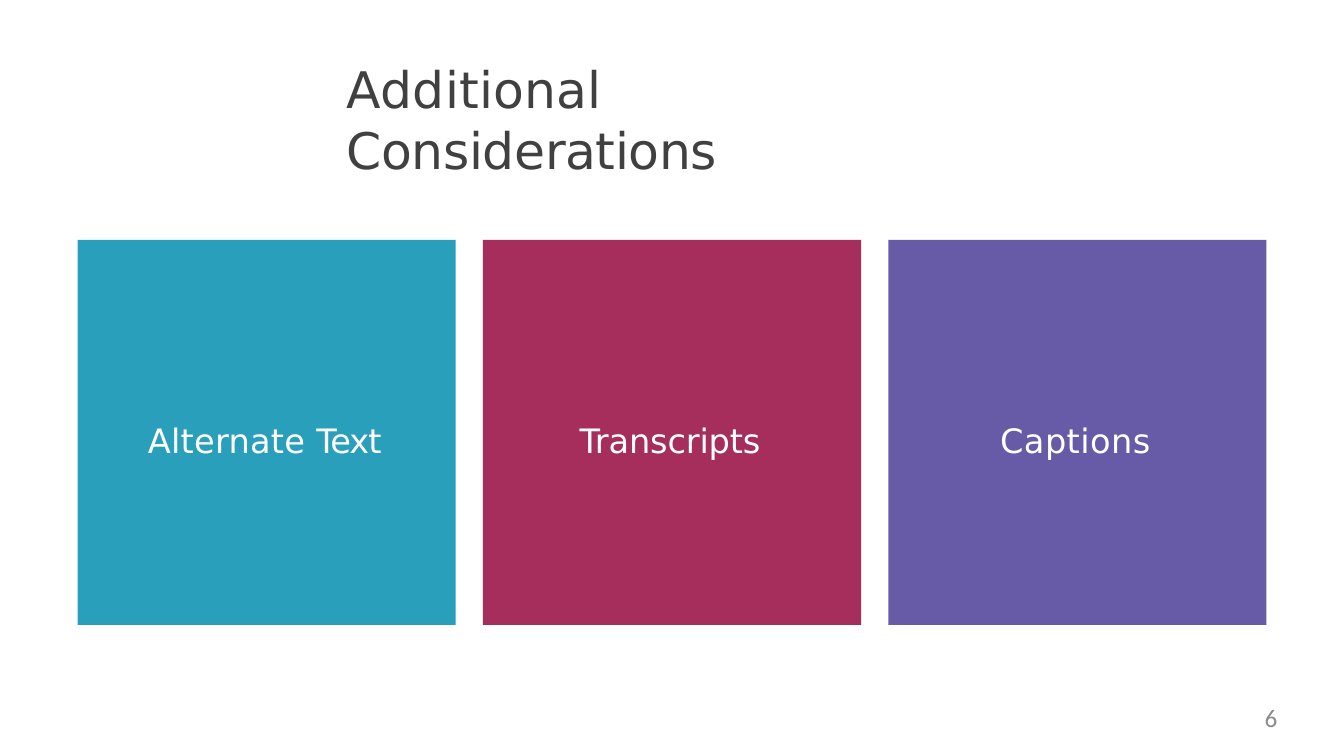
from dataclasses import dataclass

from pptx import Presentation
from pptx.dml.color import RGBColor
from pptx.enum.shapes import MSO_SHAPE
from pptx.enum.text import MSO_ANCHOR, MSO_AUTO_SIZE, PP_ALIGN
from pptx.util import Inches, Pt


@dataclass(frozen=True)
class Theme:
    font: str = "DejaVu Sans"
    number_font: str = "Calibri"
    title_color: str = "404040"
    label_color: str = "FFFFFF"
    number_color: str = "8C8C8C"
    teal: str = "2A9FBC"
    berry: str = "A62E5C"
    violet: str = "675BA7"
    title_size: int = 36
    label_size: int = 24
    number_size: int = 18


THEME = Theme()
CARD_LEFT, CARD_TOP = 0.77, 2.38
CARD_WIDTH, CARD_HEIGHT = 3.75, 3.82
CARD_PITCH = 4.02
CARDS = [
    (THEME.teal, [("Alternate ", 0.2), ("Text", -0.7)]),
    (THEME.berry, [("Transcripts", -0.1)]),
    (THEME.violet, [("Captions", 0.3)]),
]


def place(shape, left, top, width, height):
    shape.left, shape.top = Inches(left), Inches(top)
    shape.width, shape.height = Inches(width), Inches(height)


def write_line(shape, runs, font, size, color, align, anchor):
    """Fill a shape with one paragraph of (text, letter spacing in points) runs."""
    frame = shape.text_frame
    frame.word_wrap = True
    frame.auto_size = MSO_AUTO_SIZE.NONE
    frame.vertical_anchor = anchor
    frame.margin_left = frame.margin_right = 0
    frame.margin_top = frame.margin_bottom = 0
    paragraph = frame.paragraphs[0]
    paragraph.alignment = align
    for text, spacing in runs:
        run = paragraph.add_run()
        run.text = text
        run.font.name = font
        run.font.size = Pt(size)
        run.font.color.rgb = RGBColor.from_string(color)
        if spacing:
            run._r.get_or_add_rPr().set("spc", str(round(spacing * 100)))


def add_title(slide):
    title = slide.shapes.title
    place(title, 3.44, 0.58, 6.2, 1.25)
    write_line(title, [("Additional ", 0.2), ("Considerations", -0.3)],
               THEME.font, THEME.title_size, THEME.title_color,
               PP_ALIGN.LEFT, MSO_ANCHOR.TOP)


def add_card(slide, left, color, label):
    card = slide.shapes.add_shape(
        MSO_SHAPE.RECTANGLE, Inches(left), Inches(CARD_TOP),
        Inches(CARD_WIDTH), Inches(CARD_HEIGHT))
    card.shadow.inherit = False
    card.fill.solid()
    card.fill.fore_color.rgb = RGBColor.from_string(color)
    card.line.fill.background()
    write_line(card, label, THEME.font, THEME.label_size, THEME.label_color,
               PP_ALIGN.CENTER, MSO_ANCHOR.MIDDLE)
    card.text_frame.margin_top = Inches(0.16)
    card.text_frame.margin_right = Inches(0.04)


def add_page_number(slide, number):
    box = slide.shapes.add_textbox(
        Inches(9.6), Inches(6.97), Inches(3.07), Inches(0.38))
    write_line(box, [(number, 0)], THEME.number_font, THEME.number_size,
               THEME.number_color, PP_ALIGN.RIGHT, MSO_ANCHOR.TOP)


def main():
    presentation = Presentation()
    presentation.slide_width = Inches(13.33)
    presentation.slide_height = Inches(7.5)
    title_only = presentation.slide_layouts[5]
    slide = presentation.slides.add_slide(title_only)
    add_title(slide)
    for index, (color, label) in enumerate(CARDS):
        add_card(slide, CARD_LEFT + index * CARD_PITCH, color, label)
    add_page_number(slide, "6")
    presentation.save("out.pptx")


if __name__ == "__main__":
    main()
